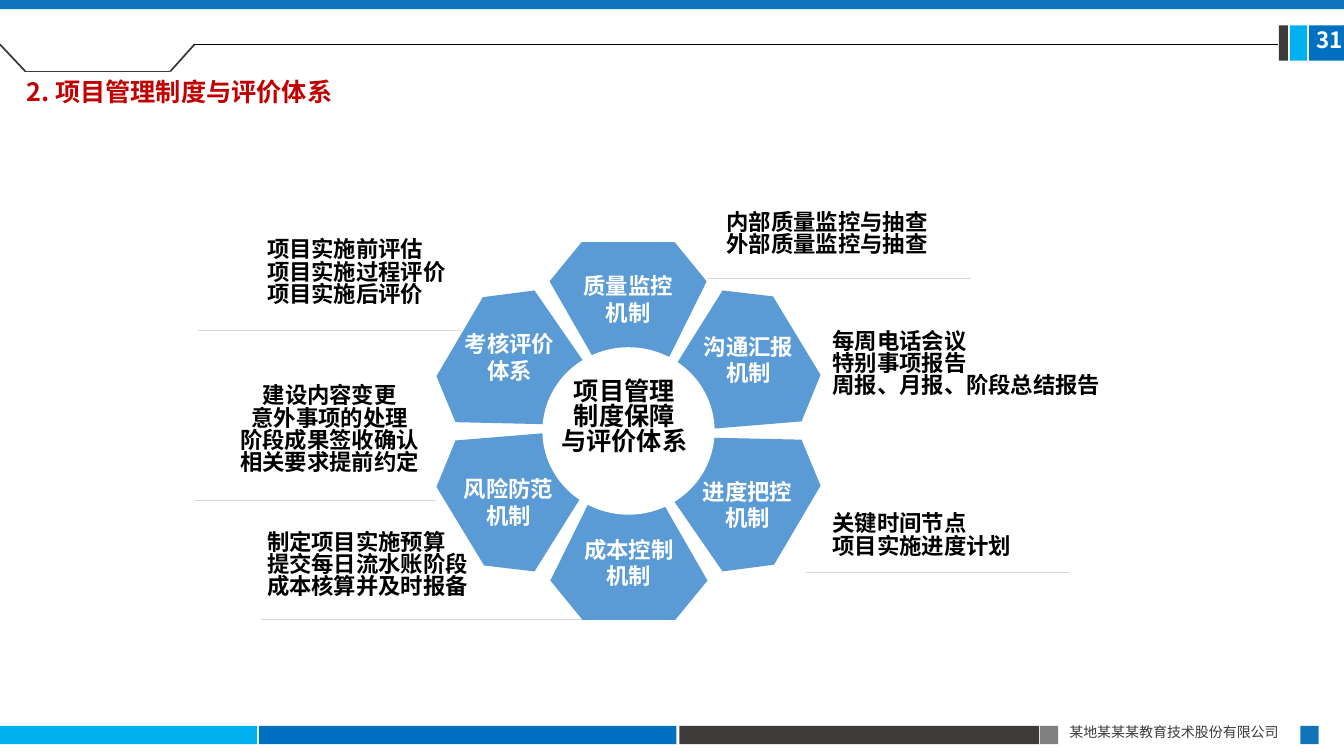
from itertools import pairwise

from lxml.etree import SubElement
from pptx import Presentation
from pptx.dml.color import RGBColor
from pptx.enum.shapes import MSO_CONNECTOR, MSO_SHAPE
from pptx.enum.text import MSO_ANCHOR, PP_ALIGN
from pptx.oxml.ns import qn
from pptx.util import Cm, Pt

FONT = "Noto Sans CJK SC"
TIGHT = 0.83  # line spacing of plain text
COLORS = {
    "navy": "1074BB", "blue": "0070C0", "cyan": "00B0F0", "dark": "3E3A39",
    "gray": "808080", "rule": "D9D9D9", "wedge": "5B9BD5", "red": "C00000",
    "white": "FFFFFF", "black": "000000",
}

# Outlines of half the ring, in cm from the hub; a half turn gives the rest
TOP = [(-1.18, -4.76), (1.16, -4.76), (1.97, -3.77),
       (1.03, -1.87), (-0.9, -1.87), (-1.99, -3.77)]
UPPER_RIGHT = [(2.37, -3.54), (3.64, -3.39), (4.84, -1.41),
               (4.36, -0.24), (2.17, -0.06), (1.21, -1.69)]
LOWER_RIGHT = [(2.12, 0.17), (4.36, 0.22), (4.84, 1.38),
               (3.67, 3.37), (2.37, 3.54), (1.16, 1.79)]

# Outline, label, label of the opposite wedge
WEDGES = [
    (TOP, "质量监控\n机制", "成本控制\n机制"),
    (UPPER_RIGHT, "沟通汇报\n机制", "风险防范\n机制"),
    (LOWER_RIGHT, "进度把控\n机制", "考核评价\n体系"),
]

# Text, box from the hub, alignment, underline (start x, end x, y)
NOTES = [
    ("内部质量监控与抽查\n外部质量监控与抽查",
     (2.22, -5.63, 5.82, 2.39), PP_ALIGN.LEFT, (1.99, 8.62, -3.85)),
    ("每周电话会议\n特别事项报告\n周报、月报、阶段总结报告",
     (4.89, -2.63, 7.32, 3), PP_ALIGN.LEFT, None),
    ("关键时间节点\n项目实施进度计划",
     (4.89, 1.97, 5.08, 2.31), PP_ALIGN.LEFT, (4.48, 11.11, 3.57)),
    ("建设内容变更\n意外事项的处理\n阶段成果签收确认\n相关要求提前约定",
     (-10.07, -1.26, 5.08, 3.68), PP_ALIGN.CENTER, (-10.93, -4.86, 1.75)),
    ("制定项目实施预算\n提交每日流水账阶段\n成本核算并及时报备",
     (-9.36, 2.43, 5.64, 2.31), PP_ALIGN.LEFT, (-9.26, -1.18, 4.76)),
    ("项目实施前评估\n项目实施过程评价\n项目实施后评价",
     (-9.36, -4.94, 5.08, 3), PP_ALIGN.LEFT, (-10.86, -4.23, -2.53)),
]


def rgb(color):
    return RGBColor.from_string(COLORS[color])


def write(frame, text, size, color, align=PP_ALIGN.LEFT, bold=True, spacing=TIGHT):
    frame.text = text
    frame.word_wrap = True
    for paragraph in frame.paragraphs:
        paragraph.alignment = align
        paragraph.line_spacing = spacing
        for run in paragraph.runs:
            run.font.size = Pt(size)
            run.font.bold = bold
            run.font.name = FONT
            run.font.color.rgb = rgb(color)
            SubElement(run.font._element, qn("a:ea"), typeface=FONT)


def add_text(slide, box, *args, **kwargs):
    frame = slide.shapes.add_textbox(*map(Cm, box)).text_frame
    write(frame, *args, **kwargs)


def paint(shape, color):
    shape.shadow.inherit = False
    shape.fill.solid()
    shape.fill.fore_color.rgb = rgb(color)
    shape.line.fill.background()


def add_block(slide, box, color, kind=MSO_SHAPE.RECTANGLE):
    paint(slide.shapes.add_shape(kind, *map(Cm, box)), color)


def add_rule(slide, start, end, color, width):
    rule = slide.shapes.add_connector(MSO_CONNECTOR.STRAIGHT, *map(Cm, start + end))
    rule.line.color.rgb = rgb(color)
    rule.line.width = Pt(width)
    SubElement(rule._element.spPr, qn("a:effectLst"))


def add_header(slide, width, tab_top):
    add_block(slide, (0, 0, width, 0.23), "navy")

    # Tab outline and long rule
    tab = [(0, tab_top), (0.64, tab_top + 0.68), (4.29, tab_top + 0.68), (4.9, tab_top)]
    for start, end in pairwise(tab):
        add_rule(slide, start, end, "dark", 1.25)
    add_rule(slide, tab[-1], (width - 1.66, tab_top), "black", 0.5)

    # Page number blocks
    for inset, block_width, color in [
            (0.88, 0.88, "blue"), (1.36, 0.43, "cyan"), (1.64, 0.23, "dark")]:
        add_block(slide, (width - inset, 0.64, block_width, 0.89), color)
    add_text(slide, (width - 0.95, 0.66, 1.27, 0.94), "31", 16, "white")


def add_title(slide, box):
    title = slide.shapes.title
    title.left, title.top, title.width, title.height = map(Cm, box)
    write(title.text_frame, "2. 项目管理制度与评价体系", 18, "red")
    title.text_frame.vertical_anchor = MSO_ANCHOR.TOP


def add_wedge(slide, outline, label):
    points = [(Cm(x), Cm(y)) for x, y in outline]
    builder = slide.shapes.build_freeform(*points[0], scale=1.0)
    builder.add_line_segments(points[1:], close=True)
    wedge = builder.convert_to_shape()
    paint(wedge, "wedge")
    write(wedge.text_frame, label, 16, "white", PP_ALIGN.CENTER, spacing=1.0)
    wedge.text_frame.vertical_anchor = MSO_ANCHOR.MIDDLE


def add_ring(slide, hub_x, hub_y):
    # Opposite wedges share an outline
    for outline, label, opposite_label in WEDGES:
        for turn, text in ((1, label), (-1, opposite_label)):
            add_wedge(slide, [(hub_x + turn * x, hub_y + turn * y)
                              for x, y in outline], text)

    # Hub
    hub_width, hub_height = 4.34, 4.22
    add_block(slide, (hub_x - hub_width / 2, hub_y - hub_height / 2,
                      hub_width, hub_height), "white", MSO_SHAPE.OVAL)
    add_text(slide, (hub_x - 2.43, hub_y - 1.39, 4.65, 2.77),
             "项目管理\n制度保障\n与评价体系", 18, "black", PP_ALIGN.CENTER)


def add_notes_around(slide, hub_x, hub_y):
    for text, (x, y, width, height), align, underline in NOTES:
        if underline:
            start_x, end_x, rule_y = underline
            add_rule(slide, (hub_x + start_x, hub_y + rule_y),
                     (hub_x + end_x, hub_y + rule_y), "rule", 0.75)
        add_text(slide, (hub_x + x, hub_y + y, width, height),
                 text, 16, "black", align)


def add_footer(slide, top, height):
    for left, width, color in [
            (0, 6.48, "cyan"), (6.53, 10.52, "blue"), (17.12, 9.07, "dark"),
            (26.21, 0.46, "gray"), (32.77, 0.46, "navy")]:
        add_block(slide, (left, top, width, height), color)
    add_text(slide, (26.7, top - 0.1, 6.1, 0.69), "某地某某某教育技术股份有限公司",
             10, "dark", PP_ALIGN.JUSTIFY, bold=False)


def main():
    presentation = Presentation()
    presentation.slide_width, presentation.slide_height = Cm(33.87), Cm(19.05)
    slide = presentation.slides.add_slide(presentation.slide_layouts[5])
    add_footer(slide, top=18.29, height=0.46)
    add_header(slide, width=33.87, tab_top=1.12)
    add_title(slide, (0.41, 1.93, 9.02, 1.02))
    add_ring(slide, hub_x=15.84, hub_y=10.86)
    add_notes_around(slide, hub_x=15.84, hub_y=10.86)
    presentation.save("out.pptx")


if __name__ == "__main__":
    main()
